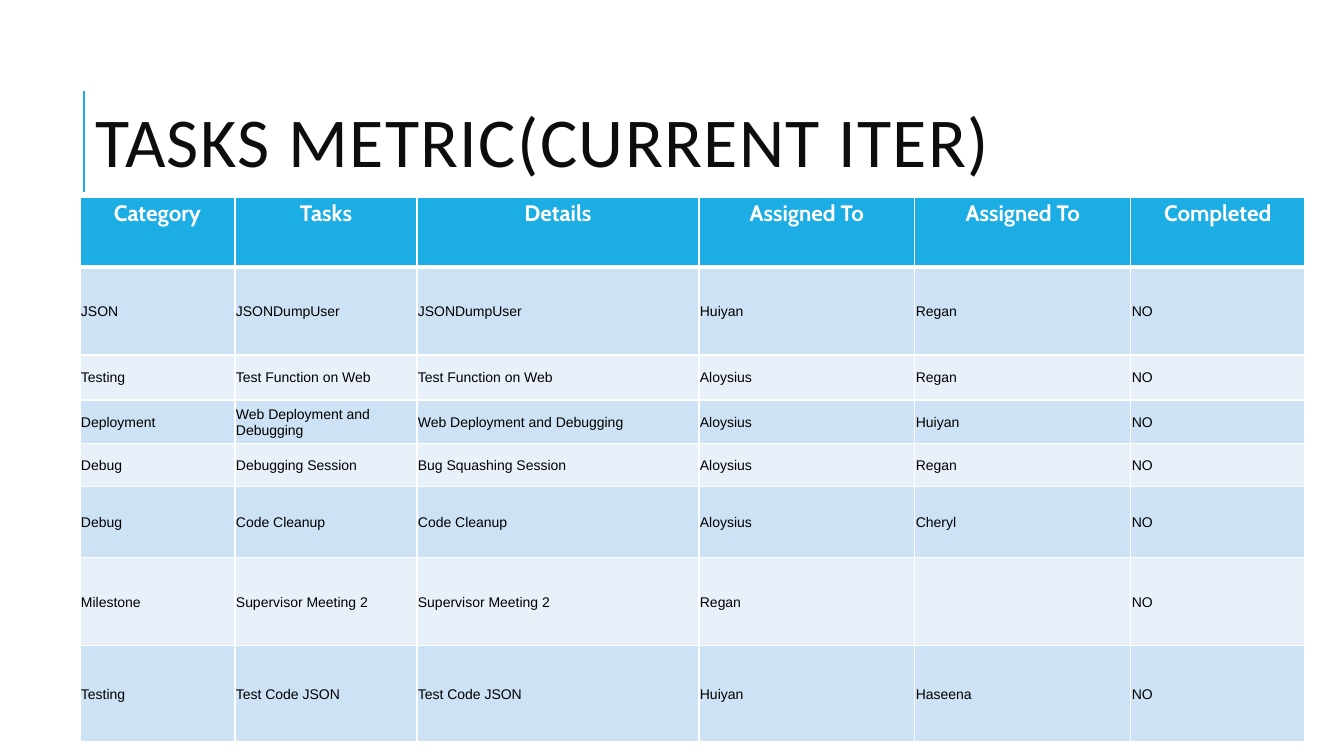
from dataclasses import dataclass

from lxml.etree import SubElement
from pptx import Presentation
from pptx.dml.color import RGBColor
from pptx.enum.shapes import MSO_CONNECTOR
from pptx.enum.text import MSO_ANCHOR, MSO_AUTO_SIZE, PP_ALIGN
from pptx.oxml.ns import qn
from pptx.util import Emu, Pt

EMU_PER_PX = 914400 / 100.8
COLORS = {
    "accent": "1CADE4",
    "title": "0D0D0D",
    "body": "000000",
    "white": "FFFFFF",
    "band_dark": "CDE3F5",
    "band_light": "E8F1FA",
}


@dataclass
class TaskRow:
    height: int
    values: tuple[str, ...]


COLUMN_WIDTHS = (155, 182, 282, 216, 216, 174)
ROWS = (
    TaskRow(70, ("Category", "Tasks", "Details", "Assigned To", "Assigned To", "Completed")),
    TaskRow(88, ("JSON", "JSONDumpUser", "JSONDumpUser", "Huiyan", "Regan", "NO")),
    TaskRow(45, ("Testing", "Test Function on Web", "Test Function on Web",
                 "Aloysius", "Regan", "NO")),
    TaskRow(44, ("Deployment", "Web Deployment and Debugging",
                 "Web Deployment and Debugging", "Aloysius", "Huiyan", "NO")),
    TaskRow(43, ("Debug", "Debugging Session", "Bug Squashing Session",
                 "Aloysius", "Regan", "NO")),
    TaskRow(71, ("Debug", "Code Cleanup", "Code Cleanup", "Aloysius", "Cheryl", "NO")),
    TaskRow(88, ("Milestone", "Supervisor Meeting 2", "Supervisor Meeting 2",
                 "Regan", "", "NO")),
    TaskRow(96, ("Testing", "Test Code JSON", "Test Code JSON", "Huiyan", "Haseena", "NO")),
)


def px(n: int) -> Emu:
    return Emu(round(n * EMU_PER_PX))


def rgb(name: str) -> RGBColor:
    return RGBColor.from_string(COLORS[name])


def write(tf, text: str, *, size: int, font: str, color: str, bold: bool = False,
          align=PP_ALIGN.LEFT, line_spacing: float = 1.0, tracking: int = 0) -> None:
    p = tf.paragraphs[0]
    p.alignment = align
    p.line_spacing = line_spacing
    r = p.add_run()
    r.text = text
    r.font.size = Pt(size)
    r.font.name = font
    r.font.bold = bold
    r.font.color.rgb = rgb(color)
    if tracking:
        r._r.get_or_add_rPr().set("spc", str(tracking))


def add_borders(cell, top: int, bottom: int) -> None:
    tc_pr = cell._tc.get_or_add_tcPr()
    for side, width in (("L", 1), ("R", 1), ("T", top), ("B", bottom)):
        ln = SubElement(tc_pr, qn(f"a:ln{side}"), w=str(Pt(width)))
        fill = SubElement(ln, qn("a:solidFill"))
        SubElement(fill, qn("a:srgbClr"), val=COLORS["white"])


def add_title(slide, text: str) -> None:
    sp = slide.shapes.title
    sp.left, sp.top, sp.width, sp.height = px(85), px(65), px(1072), px(165)
    tf = sp.text_frame
    tf.word_wrap = True
    tf.auto_size = MSO_AUTO_SIZE.NONE
    tf.vertical_anchor = MSO_ANCHOR.MIDDLE
    write(tf, text, size=50, font="Calibri", color="title", line_spacing=0.8, tracking=100)


def add_title_rule(slide) -> None:
    line = slide.shapes.add_connector(MSO_CONNECTOR.STRAIGHT, px(84), px(192), px(84), px(91))
    line.line.color.rgb = rgb("accent")
    line.line.width = Pt(1.5)
    SubElement(line._element.spPr, qn("a:effectLst"))


def format_cell(cell, text: str, row: int) -> None:
    cell.margin_left = cell.margin_right = cell.margin_top = px(1)
    cell.margin_bottom = 0
    add_borders(cell, top=3 if row == 1 else 1, bottom=3 if row == 0 else 1)
    cell.fill.solid()
    if row == 0:
        cell.fill.fore_color.rgb = rgb("accent")
        write(cell.text_frame, text, size=16, font="Cabin", color="white", bold=True,
              align=PP_ALIGN.CENTER, line_spacing=1.07)
        return
    cell.fill.fore_color.rgb = rgb("band_dark" if row % 2 else "band_light")
    cell.vertical_anchor = MSO_ANCHOR.MIDDLE
    if text:
        write(cell.text_frame, text, size=10, font="Arial", color="body")


def add_task_table(slide) -> None:
    frame = slide.shapes.add_table(
        len(ROWS), len(COLUMN_WIDTHS), px(80), px(197),
        px(sum(COLUMN_WIDTHS)), px(sum(row.height for row in ROWS)))
    table = frame.table
    for column, width in zip(table.columns, COLUMN_WIDTHS):
        column.width = px(width)
    for i, task in enumerate(ROWS):
        table.rows[i].height = px(task.height)
        for j, text in enumerate(task.values):
            format_cell(table.cell(i, j), text, i)


def main() -> None:
    prs = Presentation()
    prs.slide_width, prs.slide_height = px(1344), px(756)
    slide = prs.slides.add_slide(prs.slide_layouts[5])
    slide.background.fill.solid()
    slide.background.fill.fore_color.rgb = rgb("white")

    # Heading
    add_title_rule(slide)
    add_title(slide, "TASKS METRIC(CURRENT ITER)")

    # Task list
    add_task_table(slide)

    prs.save("out.pptx")


if __name__ == "__main__":
    main()
